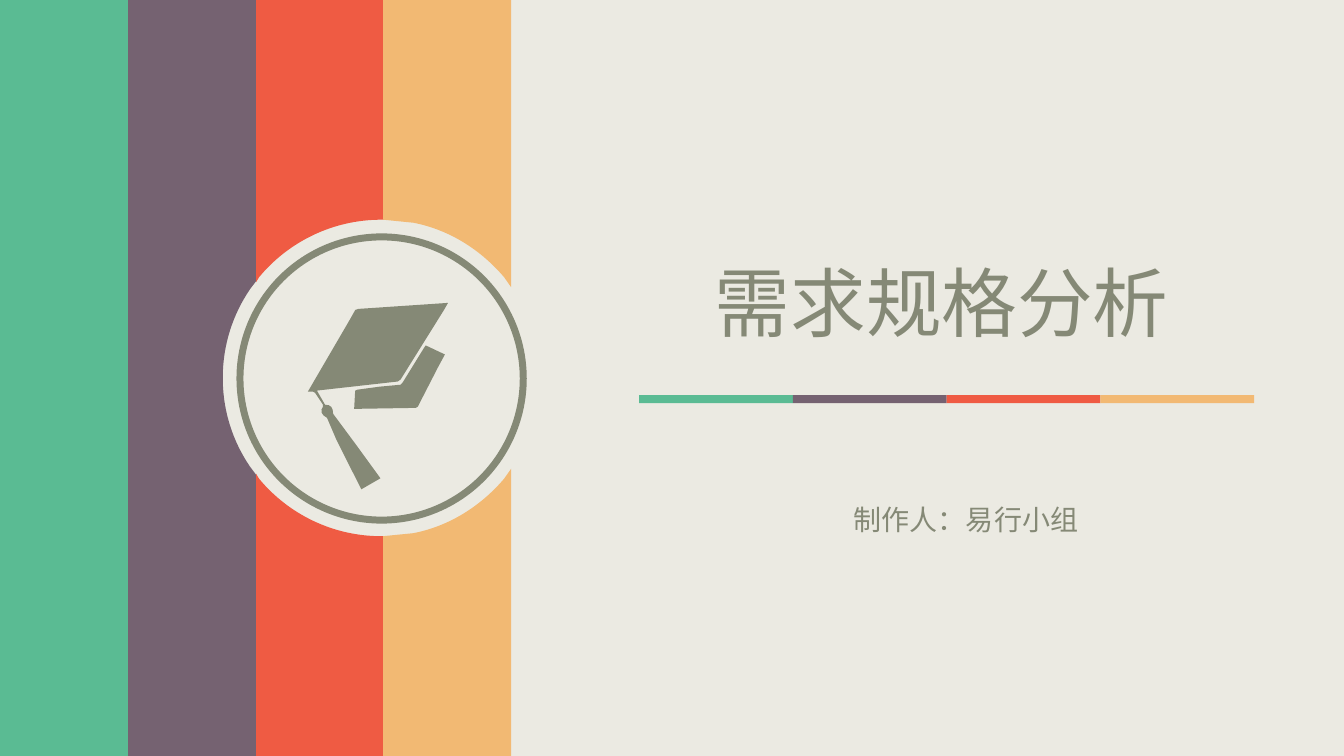
from math import cos, radians, sin

from lxml.etree import SubElement
from pptx import Presentation
from pptx.dml.color import RGBColor
from pptx.enum.shapes import MSO_SHAPE
from pptx.enum.text import MSO_ANCHOR, MSO_AUTO_SIZE, PP_ALIGN
from pptx.oxml.ns import qn
from pptx.util import Inches, Pt

COLORS = {"paper": "EBEAE2", "green": "5ABB93", "plum": "756271",
          "red": "EF5B43", "sand": "F2B973", "olive": "858976"}
BANDS = ["green", "plum", "red", "sand"]
FONT = "Noto Sans CJK SC"
HEIGHT = 7.5

# Outlines: two numbers are a corner, six numbers a Bezier curve
PLUM = [(1.27, 0), (2.54, 0), (2.54, 2.79), (2.48, 2.87),
        (2.31, 3.12, 2.21, 3.42, 2.21, 3.75),
        (2.21, 4.08, 2.31, 4.38, 2.48, 4.63),
        (2.54, 4.71), (2.54, 7.5), (1.27, 7.5)]
RED_TOP = [(2.54, 0), (3.81, 0), (3.81, 2.18), (3.78, 2.18),
           (3.3, 2.18, 2.86, 2.4, 2.57, 2.75), (2.54, 2.8)]
SAND_TOP = [(3.8, 0), (5.07, 0), (5.07, 2.85), (5, 2.75),
            (4.77, 2.48, 4.46, 2.28, 4.1, 2.21), (3.8, 2.18)]

# Board, cord and tassel in one outline
BOARD = [(3.14, 3.87), (3.22, 4.01), (3.28, 4.01, 3.3, 4.04, 3.3, 4.1),
         (3.53, 4.41), (3.77, 4.74), (3.58, 4.85), (3.33, 4.35), (3.24, 4.14),
         (3.18, 4.11, 3.17, 4.07, 3.2, 4.03), (3.2, 4.01), (3.12, 3.89),
         (3.1, 3.88), (3.05, 3.88), (3.47, 3.16), (3.52, 3.07), (3.55, 3.06),
         (4.29, 3.01), (4.44, 3), (4.4, 3.07), (3.97, 3.76), (3.94, 3.78)]
CROWN = [(3.51, 4.06), (3.52, 3.88), (3.54, 3.87), (3.76, 3.84), (3.97, 3.82),
         (3.99, 3.8), (4.2, 3.46), (4.22, 3.43), (4.41, 3.52), (4.34, 3.65),
         (4.14, 4.04), (4.12, 4.05)]
CAP_TURN = 329.4


def rgb(name):
    return RGBColor.from_string(COLORS[name])


def write(tf, text, size=20, color="olive", align=PP_ALIGN.LEFT):
    tf.word_wrap = False
    tf.auto_size = MSO_AUTO_SIZE.NONE
    tf.vertical_anchor = MSO_ANCHOR.MIDDLE
    p = tf.paragraphs[0]
    p.alignment = align
    r = p.add_run()
    r.text = text
    r.font.size = Pt(size)
    r.font.name = FONT
    r.font.color.rgb = rgb(color)
    # East Asian typeface
    SubElement(r._r.get_or_add_rPr(), qn("a:ea")).set("typeface", FONT)


def pairs(segment):
    return list(zip(segment[::2], segment[1::2]))


def mirrored(contour):
    """The same contour, flipped about the middle of the slide."""
    return [tuple(v for x, y in pairs(seg) for v in (x, HEIGHT - y))
            for seg in contour]


def turned(contour, center, degrees):
    """The contour turned back, so that the shape's rotation restores it."""
    cx, cy = center
    c, s = cos(radians(-degrees)), sin(radians(-degrees))
    return [tuple(v for x, y in pairs(seg)
                  for v in (cx + (x - cx) * c - (y - cy) * s,
                            cy + (x - cx) * s + (y - cy) * c))
            for seg in contour]


class Deck:
    def __init__(self):
        self.prs = Presentation()
        self.prs.slide_width, self.prs.slide_height = Inches(13.33), Inches(HEIGHT)
        self.s = self.prs.slides.add_slide(self.prs.slide_layouts[5])
        self.s.background.fill.solid()
        self.s.background.fill.fore_color.rgb = rgb("paper")

    def group(self):
        return self.s.shapes.add_group_shape().shapes

    def paint(self, sp, color):
        sp.shadow.inherit = False
        sp.fill.solid()
        sp.fill.fore_color.rgb = rgb(color)
        sp.line.fill.background()

    def rect(self, shapes, x, y, w, h, color):
        sp = shapes.add_shape(MSO_SHAPE.RECTANGLE, *map(Inches, (x, y, w, h)))
        self.paint(sp, color)

    def ring(self, shapes, x, y, size, color, width):
        sp = shapes.add_shape(MSO_SHAPE.OVAL, *map(Inches, (x, y, size, size)))
        sp.shadow.inherit = False
        sp.fill.background()
        sp.line.color.rgb = rgb(color)
        sp.line.width = Pt(width)

    def outline(self, shapes, contours, color, rotation=0):
        builder = None
        for contour in contours:
            pts = [(Inches(x), Inches(y)) for seg in contour for x, y in pairs(seg)]
            if builder is None:
                builder = shapes.build_freeform(*pts[0])
            else:
                builder.move_to(*pts[0])
            builder.add_line_segments(pts[1:], close=True)
        sp = builder.convert_to_shape()
        # Merge each three points of a curve into one Bezier element
        lines = iter(list(sp._element.iter(qn("a:lnTo"))))
        for seg in (seg for contour in contours for seg in contour[1:]):
            steps = [next(lines) for _ in pairs(seg)]
            if len(steps) == 3:
                steps[0].tag = qn("a:cubicBezTo")
                for step in steps[1:]:
                    steps[0].append(step[0])
                    step.getparent().remove(step)
        self.paint(sp, color)
        sp.rotation = rotation

    def title(self, x, y, w, h, text, **fmt):
        sp = self.s.shapes.title
        sp.left, sp.top, sp.width, sp.height = map(Inches, (x, y, w, h))
        write(sp.text_frame, text, **fmt)

    def text(self, x, y, w, h, text, **fmt):
        sp = self.s.shapes.add_textbox(*map(Inches, (x, y, w, h)))
        write(sp.text_frame, text, **fmt)


def main():
    deck = Deck()
    shapes = deck.s.shapes

    # Vertical stripes, cut out around the badge
    deck.rect(shapes, 0, 0, 1.27, HEIGHT, "green")
    deck.outline(shapes, [PLUM], "plum")
    for top, color in ((RED_TOP, "red"), (SAND_TOP, "sand")):
        deck.outline(shapes, [mirrored(top), top], color)

    # Four-colour rule under the title
    rule = deck.group()
    for i, color in enumerate(BANDS):
        deck.rect(rule, 6.34 + i * 1.525, 3.92, 1.525, 0.08, color)

    # Badge with graduation cap
    badge = deck.group()
    deck.ring(badge, 2.38, 2.35, 2.81, "olive", 5)
    for part, center in ((BOARD, (3.9, 3.76)), (CROWN, (4, 3.85))):
        deck.outline(badge, [turned(part, center, CAP_TURN)], "olive", CAP_TURN)

    # Title and author
    deck.title(6.21, 2.48, 6.26, 1.01, "需求规格分析", size=54, align=PP_ALIGN.CENTER)
    deck.text(8.37, 4.93, 2.13, 0.44, "制作人：易行小组")

    deck.prs.save("out.pptx")


if __name__ == "__main__":
    main()
